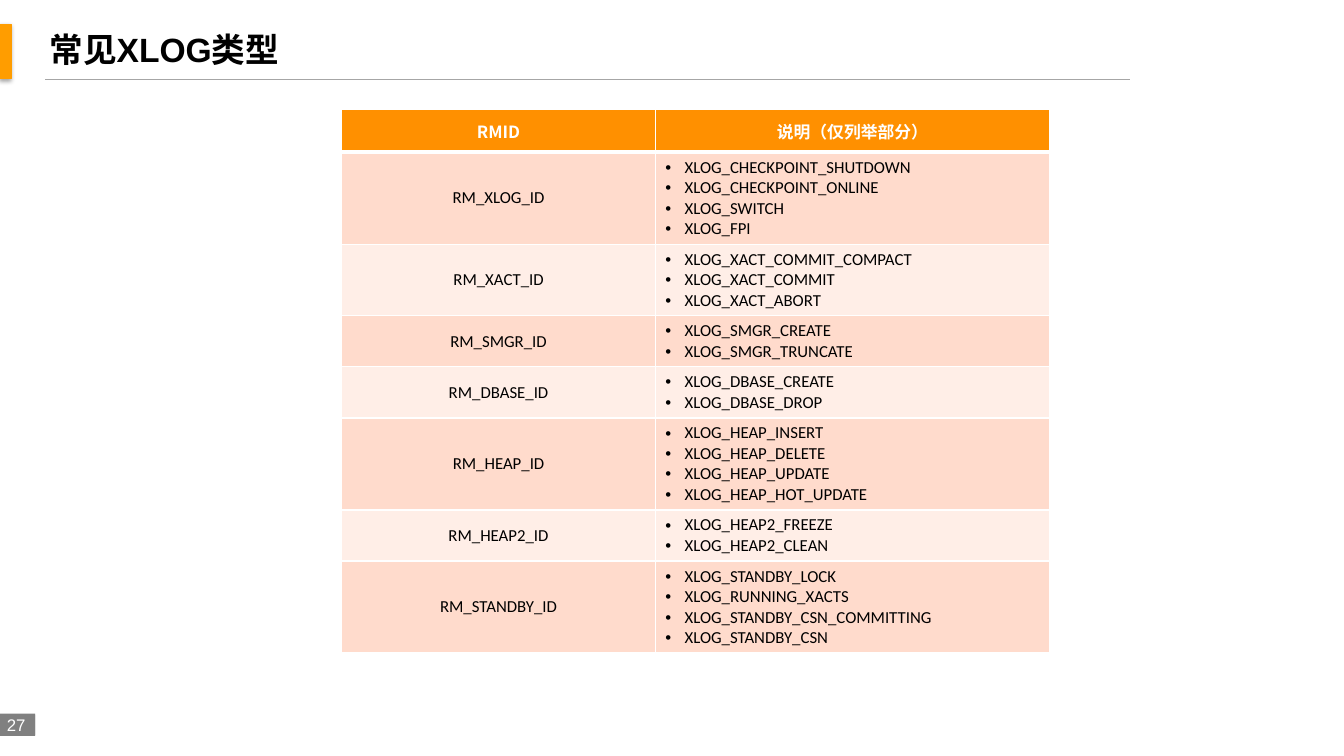
"""Builds the slide listing common XLOG record types by resource manager."""
from lxml.etree import SubElement
from pptx import Presentation
from pptx.dml.color import RGBColor
from pptx.enum.shapes import MSO_CONNECTOR, MSO_SHAPE
from pptx.enum.text import MSO_ANCHOR, PP_ALIGN
from pptx.oxml import parse_xml
from pptx.oxml.ns import nsdecls, qn
from pptx.util import Inches, Pt

WHITE = RGBColor(0xFF, 0xFF, 0xFF)
BLACK = RGBColor(0, 0, 0)
GRAY = RGBColor(0x80, 0x80, 0x80)
RULE = RGBColor(0xA6, 0xA6, 0xA6)
ACCENT = RGBColor(0xFF, 0x9D, 0x00)
HEADER = RGBColor(0xFF, 0x90, 0x00)
BANDS = [RGBColor(0xFF, 0xDB, 0xCC), RGBColor(0xFF, 0xEE, 0xE7)]
CJK = "Noto Sans CJK SC"

HEADINGS = ["RMID", "说明（仅列举部分）"]
RECORDS = [
    ("RM_XLOG_ID", ["XLOG_CHECKPOINT_SHUTDOWN", "XLOG_CHECKPOINT_ONLINE",
                    "XLOG_SWITCH", "XLOG_FPI"]),
    ("RM_XACT_ID", ["XLOG_XACT_COMMIT_COMPACT", "XLOG_XACT_COMMIT",
                    "XLOG_XACT_ABORT"]),
    ("RM_SMGR_ID", ["XLOG_SMGR_CREATE", "XLOG_SMGR_TRUNCATE"]),
    ("RM_DBASE_ID", ["XLOG_DBASE_CREATE", "XLOG_DBASE_DROP"]),
    ("RM_HEAP_ID", ["XLOG_HEAP_INSERT", "XLOG_HEAP_DELETE",
                    "XLOG_HEAP_UPDATE", "XLOG_HEAP_HOT_UPDATE"]),
    ("RM_HEAP2_ID", ["XLOG_HEAP2_FREEZE", "XLOG_HEAP2_CLEAN"]),
    ("RM_STANDBY_ID", ["XLOG_STANDBY_LOCK", "XLOG_RUNNING_XACTS",
                       "XLOG_STANDBY_CSN_COMMITTING", "XLOG_STANDBY_CSN"]),
]


def add_box(left, top, width, height, color):
    sp = s.shapes.add_shape(MSO_SHAPE.RECTANGLE, Inches(left), Inches(top),
                            Inches(width), Inches(height))
    sp.shadow.inherit = False
    sp.fill.solid()
    sp.fill.fore_color.rgb = color
    sp.line.fill.background()
    return sp


def fill_cell(cell, lines, color, bottom=1, bulleted=False):
    cell.vertical_anchor = MSO_ANCHOR.MIDDLE
    tcPr = cell._tc.get_or_add_tcPr()
    for side, width in (("L", 1), ("R", 1), ("T", 1), ("B", bottom)):
        ln = SubElement(tcPr, qn(f"a:ln{side}"), w=str(Pt(width)))
        fill = SubElement(ln, qn("a:solidFill"))
        SubElement(fill, qn("a:srgbClr"), val=str(WHITE))
    cell.fill.solid()
    cell.fill.fore_color.rgb = color
    cell.text_frame.text = "\n".join(lines)
    is_header = color == HEADER
    for p in cell.text_frame.paragraphs:
        if bulleted:
            pPr = p._p.get_or_add_pPr()
            pPr.set("marL", str(Inches(0.19)))
            pPr.set("indent", str(Inches(-0.19)))
            SubElement(pPr, qn("a:buFont"), typeface="Arial")
            SubElement(pPr, qn("a:buChar"), char="•")
        else:
            p.alignment = PP_ALIGN.CENTER
        for r in p.runs:
            r.font.size = Pt(12)
            r.font.bold = is_header
            r.font.name = CJK if is_header else "Calibri"
            r.font.color.rgb = WHITE if is_header else BLACK
            SubElement(r._r.get_or_add_rPr(), qn("a:ea"), typeface=CJK)


prs = Presentation()
prs.slide_width, prs.slide_height = Inches(13.33), Inches(7.5)
s = prs.slides.add_slide(prs.slide_layouts[5])

add_box(-0.12, 7.08, 0.47, 0.22, GRAY)
number = add_box(-0.03, 7.09, 0.38, 0.2, GRAY)
tf = number.text_frame
tf.margin_left = tf.margin_right = tf.margin_top = tf.margin_bottom = 0
tf.vertical_anchor = MSO_ANCHOR.MIDDLE
tf.text = "27"
p = tf.paragraphs[0]
p.alignment = PP_ALIGN.CENTER
p.runs[0].font.size = Pt(12)
p.runs[0].font.name = "Arial"
p.runs[0].font.color.rgb = WHITE

bar = add_box(0, 0.24, 0.11, 0.54, ACCENT)
bar.line.color.rgb = ACCENT
bar.line.width = Pt(0.75)
bar._element.spPr.find(qn("a:effectLst")).append(parse_xml(
    f'<a:outerShdw {nsdecls("a")} blurRad="{Pt(3.1)}" dist="{Pt(1.8)}" '
    'dir="5400000" rotWithShape="0"><a:srgbClr val="000000">'
    '<a:alpha val="35000"/></a:srgbClr></a:outerShdw>'))

rule = s.shapes.add_connector(MSO_CONNECTOR.STRAIGHT, Inches(0.45), Inches(0.79),
                              Inches(11.21), Inches(0.79))
rule.line.color.rgb = RULE
rule.line.width = Pt(0.75)
SubElement(rule._element.spPr, qn("a:effectLst"))

title = s.shapes.title
title.left, title.top = Inches(0.39), Inches(0.24)
title.width, title.height = Inches(11.5), Inches(0.5)
tf = title.text_frame
tf.vertical_anchor = MSO_ANCHOR.MIDDLE
tf.text = "常见XLOG类型"
p = tf.paragraphs[0]
p.alignment = PP_ALIGN.LEFT
r = p.runs[0]
r.font.size = Pt(24)
r.font.bold = True
r.font.name = "Arial"
r.font.color.rgb = BLACK
SubElement(r._r.get_or_add_rPr(), qn("a:ea"), typeface=CJK)

frame = s.shapes.add_table(len(RECORDS) + 1, 2, Inches(3.39), Inches(1.09),
                           Inches(7.02), Inches(5.32))
table = frame.table
table.columns[0].width, table.columns[1].width = Inches(3.11), Inches(3.91)
table.rows[0].height = Inches(0.42)
for col, heading in enumerate(HEADINGS):
    fill_cell(table.cell(0, col), [heading], HEADER, bottom=3)
for row, (rmid, types) in enumerate(RECORDS, 1):
    table.rows[row].height = Inches(0.1 + 0.2 * len(types))
    band = BANDS[(row - 1) % 2]
    fill_cell(table.cell(row, 0), [rmid], band)
    fill_cell(table.cell(row, 1), types, band, bulleted=True)

prs.save("out.pptx")
